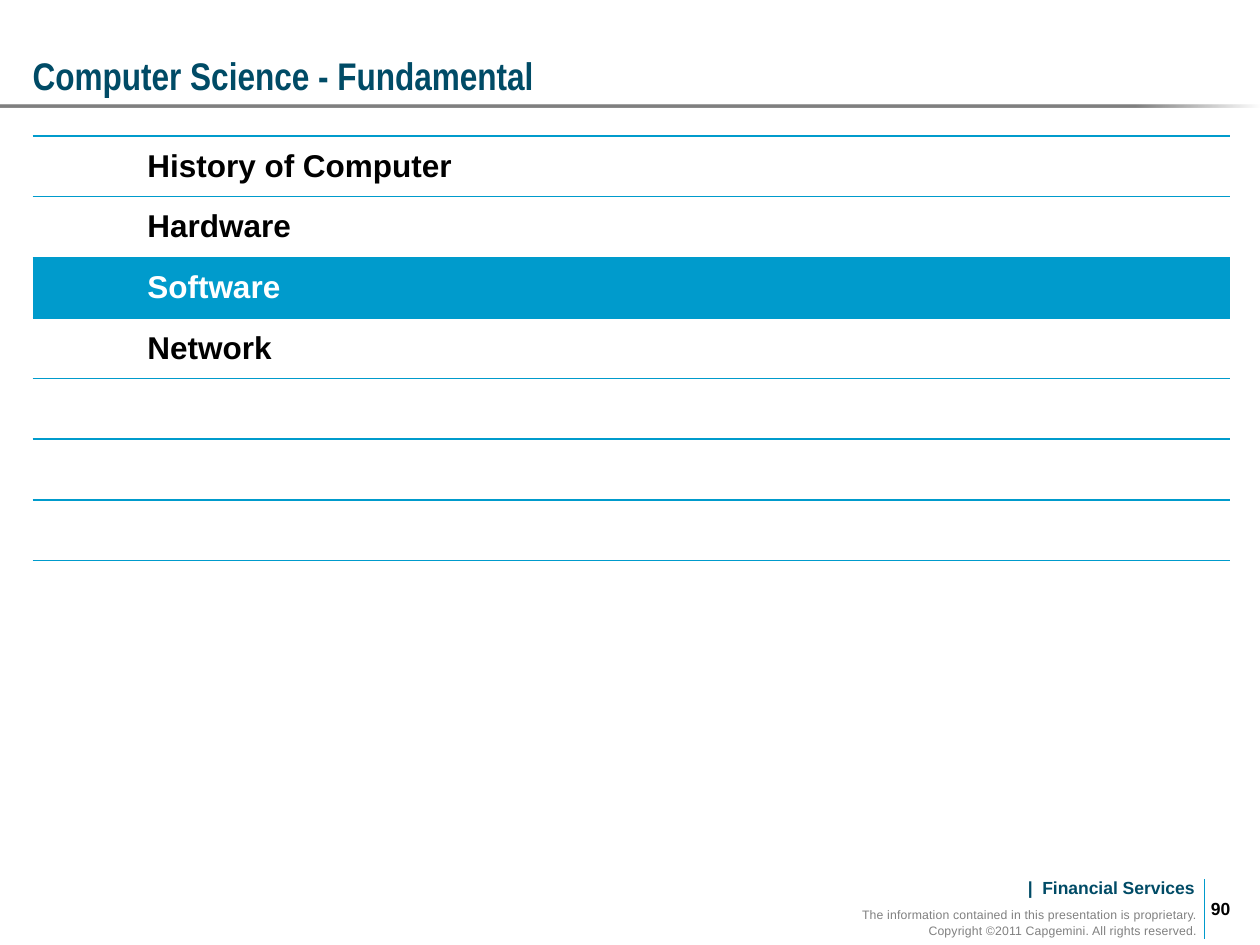
"""Build the agenda slide that marks the Software chapter."""
import dataclasses

import lxml.etree
import pptx
import pptx.dml.color
import pptx.enum.shapes
import pptx.enum.text
import pptx.oxml.ns
import pptx.util

Inches = pptx.util.Inches
Pt = pptx.util.Pt
qn = pptx.oxml.ns.qn
Anchor = pptx.enum.text.MSO_ANCHOR
Align = pptx.enum.text.PP_ALIGN


@dataclasses.dataclass(frozen=True)
class Theme:
    navy: str = "004B66"
    blue: str = "009BCC"
    gray: str = "808080"
    black: str = "000000"
    white: str = "FFFFFF"
    font: str = "Arial"
    narrow: str = "Arial Narrow"
    head: float = 22
    body: float = 18
    foot: float = 10
    small: float = 7


THEME = Theme()
TOPICS = ["History of Computer", "Hardware", "Software", "Network", "", "", ""]
ACTIVE = "Software"
NO_STYLE = "{2D5ABB26-0587-4C30-8999-92F81FD0307C}"


def rgb(code):
    return pptx.dml.color.RGBColor.from_string(code)


def add_run(para, text, size, color, bold=True, font=THEME.font):
    run = para.add_run()
    run.text = text
    run.font.size = Pt(size)
    run.font.name = font
    run.font.bold = bold
    run.font.color.rgb = rgb(color)
    return run


def set_frame(frame, insets, anchor=Anchor.TOP, wrap=True):
    sides = ("left", "top", "right", "bottom")
    for side, inset in zip(sides, insets):
        setattr(frame, f"margin_{side}", Inches(inset))
    frame.vertical_anchor = anchor
    frame.word_wrap = wrap
    frame.auto_size = pptx.enum.text.MSO_AUTO_SIZE.NONE


def add_box(slide, place, insets, **frame_args):
    box = slide.shapes.add_textbox(*map(Inches, place))
    set_frame(box.text_frame, insets, **frame_args)
    return box.text_frame


def add_title(slide, text):
    title = slide.shapes.title
    title.left, title.top = Inches(0.26), Inches(0.23)
    title.width, title.height = Inches(9.53), Inches(0.6)
    set_frame(title.text_frame, (0, 0.05, 0.1, 0.05), Anchor.BOTTOM)
    para = title.text_frame.paragraphs[0]
    para.alignment = Align.LEFT
    add_run(para, text, THEME.head, THEME.navy, font=THEME.narrow)


def add_rule(slide):
    kind = pptx.enum.shapes.MSO_SHAPE.RECTANGLE
    rule = slide.shapes.add_shape(kind, 0, Inches(0.83), Inches(10), Inches(0.02))
    rule.shadow.inherit = False
    rule.line.fill.background()
    rule.fill.gradient()
    rule.fill.gradient_angle = 0
    stops = rule.fill._fill._gradFill.find(qn("a:gsLst"))
    for stop in list(stops):
        stops.remove(stop)
    for place, alpha in ((40, 100), (90, 100), (100, 0)):
        stop = lxml.etree.SubElement(stops, qn("a:gs"), pos=str(place * 1000))
        color = lxml.etree.SubElement(stop, qn("a:srgbClr"), val=THEME.gray)
        lxml.etree.SubElement(color, qn("a:alpha"), val=str(alpha * 1000))


def add_line(slide, start, end):
    kind = pptx.enum.shapes.MSO_CONNECTOR.STRAIGHT
    line = slide.shapes.add_connector(kind, *map(Inches, start + end))
    line.line.color.rgb = rgb(THEME.blue)
    line.line.width = Pt(0.75)
    lxml.etree.SubElement(line._element.spPr, qn("a:effectLst"))


def add_edge(cell, tag, width=Pt(1)):
    edge = lxml.etree.SubElement(cell._tc.get_or_add_tcPr(), qn(tag), w=str(width))
    fill = lxml.etree.SubElement(edge, qn("a:solidFill"))
    lxml.etree.SubElement(fill, qn("a:srgbClr"), val=THEME.blue)


def style_cell(cell, active):
    add_edge(cell, "a:lnT")
    add_edge(cell, "a:lnB")
    if active:
        cell.fill.solid()
        cell.fill.fore_color.rgb = rgb(THEME.blue)
    else:
        cell.fill.background()
    cell.vertical_anchor = Anchor.MIDDLE


def add_topics(slide):
    place = map(Inches, (0.26, 1.08, 9.5, 3.37))
    table = slide.shapes.add_table(len(TOPICS), 2, *place).table
    table.first_row = table.horz_banding = False
    table._tbl.tblPr.find(qn("a:tableStyleId")).text = NO_STYLE
    for column, width in zip(table.columns, (0.81, 8.69)):
        column.width = Inches(width)
    for row, topic in zip(table.rows, TOPICS):
        active = topic == ACTIVE
        for cell in row.cells:
            style_cell(cell, active)
        if topic:
            color = THEME.white if active else THEME.black
            para = row.cells[1].text_frame.paragraphs[0]
            add_run(para, topic, THEME.body, color)


def add_footer(slide):
    unit = add_box(slide, (8.11, 6.91, 1.42, 0.27), (0.04, 0.05, 0.05, 0.05), wrap=False)
    unit.paragraphs[0].alignment = Align.RIGHT
    add_run(unit.paragraphs[0], "|  Financial Services", THEME.foot, THEME.navy)
    add_line(slide, (9.56, 6.98), (9.56, 7.45))
    legal = add_box(slide, (6.65, 7.17, 2.87, 0.25), (0.02,) * 4)
    paras = legal.paragraphs[0], legal.add_paragraph()
    texts = (
        "The information contained in this presentation is proprietary.",
        "Copyright ©2011 Capgemini. All rights reserved.",
    )
    for para, text in zip(paras, texts):
        para.alignment = Align.RIGHT
        para.line_spacing = Pt(9)
        run = add_run(para, text, THEME.small, THEME.gray, bold=False)
        run.font._element.set("spc", "10")
    page = add_box(slide, (9.61, 7.12, 0.31, 0.18), (0, 0.01, 0, 0.01), anchor=Anchor.MIDDLE)
    add_run(page.paragraphs[0], "90", THEME.foot, THEME.black)


def main():
    deck = pptx.Presentation()
    deck.slide_width, deck.slide_height = Inches(10), Inches(7.5)
    slide = deck.slides.add_slide(deck.slide_layouts.get_by_name("Title Only"))
    add_rule(slide)
    add_footer(slide)
    add_topics(slide)
    add_title(slide, "Computer Science - Fundamental")
    deck.save("out.pptx")


if __name__ == "__main__":
    main()
